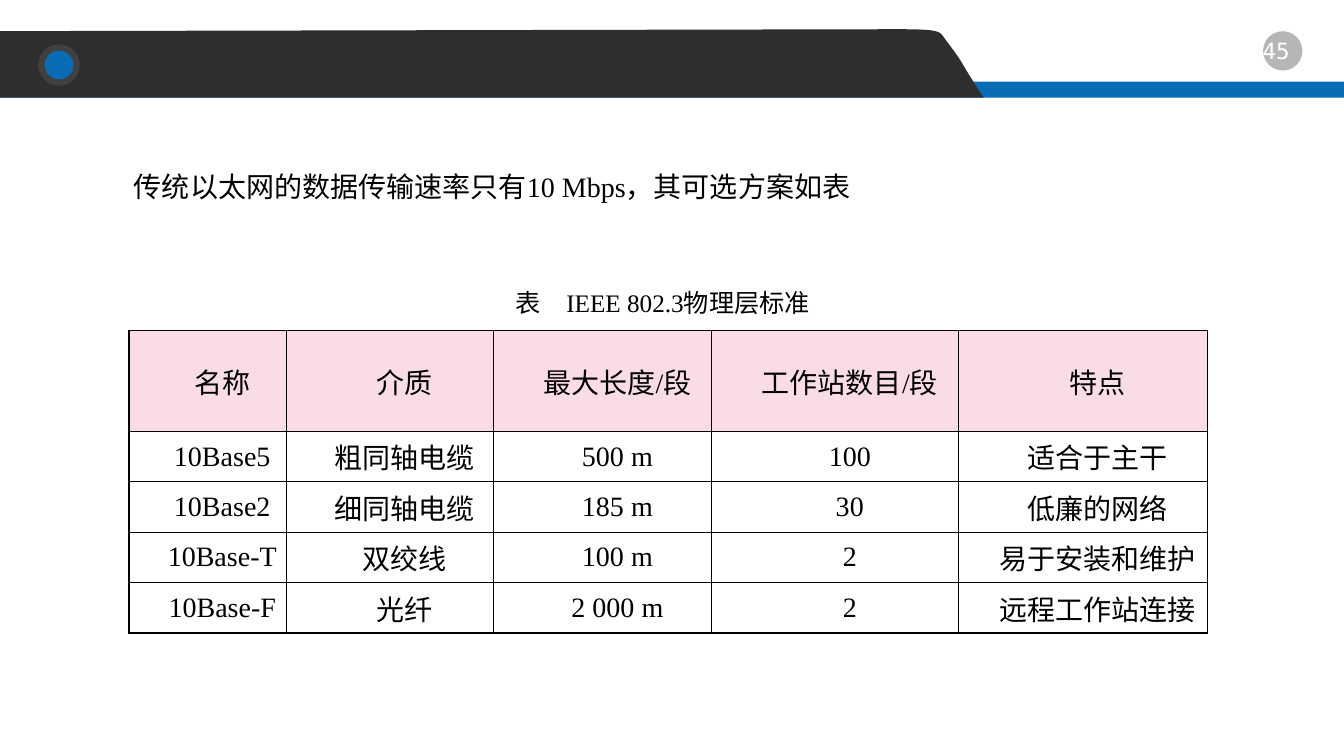
from lxml import etree
from pptx import Presentation
from pptx import util as u
from pptx.dml.color import RGBColor
from pptx.enum import shapes, text
from pptx.oxml import ns

BLUE = RGBColor(0x0A, 0x6C, 0xB5)
CHARCOAL = RGBColor(0x2E, 0x2E, 0x2E)
RING = RGBColor(0x40, 0x40, 0x40)
PINK = RGBColor(0xFA, 0xDC, 0xE9)
BLACK = RGBColor(0, 0, 0)
WHITE = RGBColor(0xFF, 0xFF, 0xFF)

SLIDE_WIDTH = u.Inches(13.33)
SLIDE_HEIGHT = u.Inches(7.5)
GRID = 100
CELL_INSET = 0.53
CELL_INDENT = 2.18
BODY_INDENT = 3.75

STANDARDS = [
    ["名称", "介质", "最大长度/段", "工作站数目/段", "特点"],
    ["10Base5", "粗同轴电缆", "500 m", "100", "适合于主干"],
    ["10Base2", "细同轴电缆", "185 m", "30", "低廉的网络"],
    ["10Base-T", "双绞线", "100 m", "2", "易于安装和维护"],
    ["10Base-F", "光纤", "2 000 m", "2", "远程工作站连接"],
]
COLUMN_SPANS = [11.7, 15.45, 16.2, 18.38, 18.53]
ROW_SPANS = [13.33] + [6.67] * 4


def columns(count):
    return u.Emu(round(SLIDE_WIDTH * count / GRID))


def rows(count):
    return u.Emu(round(SLIDE_HEIGHT * count / GRID))


def area(left, top, width, height):
    return columns(left), rows(top), columns(width), rows(height)


def add_element(parent, tag, **attributes):
    element = etree.SubElement(parent, ns.qn(tag))
    for name, value in attributes.items():
        element.set(name, str(value))
    return element


def bezier(start, first, second, end, steps=12):
    points = []
    for step in range(1, steps + 1):
        t = step / steps
        weights = ((1 - t) ** 3, 3 * t * (1 - t) ** 2, 3 * t ** 2 * (1 - t), t ** 3)
        controls = list(zip(weights, (start, first, second, end)))
        points.append(tuple(sum(w * point[axis] for w, point in controls) for axis in (0, 1)))
    return points


def write(frame, words, size=20, font="Times New Roman", color=BLACK,
          align=text.PP_ALIGN.CENTER, indent=0, spacing=None, tab=None):
    paragraph = frame.paragraphs[0]
    paragraph.alignment = align
    paragraph.line_spacing = spacing
    properties = paragraph._p.get_or_add_pPr()
    properties.set("marL", "0")
    properties.set("indent", str(columns(indent)))
    if tab:
        stops = add_element(properties, "a:tabLst")
        add_element(stops, "a:tab", pos=columns(tab), algn="l")
    run = paragraph.add_run()
    run.text = words
    run.font.size = u.Pt(size)
    run.font.name = font
    run.font.color.rgb = color


class SlideBuilder:
    def __init__(self, presentation):
        self.slide = presentation.slides.add_slide(presentation.slide_layouts[6])
        self.body_style = {"align": text.PP_ALIGN.JUSTIFY, "indent": BODY_INDENT, "spacing": 1.25}

    def paint(self, shape, fill, line=None, line_width=0, opacity=None):
        shape.shadow.inherit = False
        shape.fill.solid()
        shape.fill.fore_color.rgb = fill
        if opacity:
            color = shape.fill._xPr.find(ns.qn("a:solidFill"))[0]
            add_element(color, "a:alpha", val=opacity * 1000)
        if line is None:
            shape.line.fill.background()
        else:
            shape.line.color.rgb = line
            shape.line.width = u.Pt(line_width)

    def preset(self, kind, place, fill, **style):
        self.paint(self.slide.shapes.add_shape(kind, *area(*place)), fill, **style)

    def outline(self, points, fill):
        corners = [(columns(x), rows(y)) for x, y in points]
        builder = self.slide.shapes.build_freeform(*corners[0])
        builder.add_line_segments(corners[1:], close=True)
        self.paint(builder.convert_to_shape(), fill)

    def textbox(self, place, words, right_inset=0.75, **style):
        frame = self.slide.shapes.add_textbox(*area(*place)).text_frame
        frame.word_wrap = True
        frame.auto_size = text.MSO_AUTO_SIZE.SHAPE_TO_FIT_TEXT
        frame.margin_right = columns(right_inset)
        write(frame, words, **style)

    def body(self, place, words, **style):
        self.textbox(place, words, **self.body_style, **style)

    def border(self, cell):
        properties = cell._tc.get_or_add_tcPr()
        for side in ("a:lnL", "a:lnR", "a:lnT", "a:lnB"):
            line = add_element(properties, side, w=u.Pt(1))
            add_element(add_element(line, "a:solidFill"), "a:srgbClr", val=BLACK)

    def table(self, left, top, values, column_spans, row_spans):
        place = area(left, top, sum(column_spans), sum(row_spans))
        table = self.slide.shapes.add_table(len(values), len(column_spans), *place).table
        table.first_row = table.horz_banding = False
        for column, span in zip(table.columns, column_spans):
            column.width = columns(span)
        for index, (row, span) in enumerate(zip(table.rows, row_spans)):
            row.height = rows(span)
            for cell, words in zip(row.cells, values[index]):
                cell.vertical_anchor = text.MSO_ANCHOR.MIDDLE
                cell.margin_left = cell.margin_right = columns(CELL_INSET)
                cell.margin_top = cell.margin_bottom = 0
                self.border(cell)
                if index == 0:
                    cell.fill.solid()
                    cell.fill.fore_color.rgb = PINK
                else:
                    cell.fill.background()
                write(cell.text_frame, words, indent=CELL_INDENT)


def main():
    presentation = Presentation()
    presentation.slide_width = SLIDE_WIDTH
    presentation.slide_height = SLIDE_HEIGHT
    builder = SlideBuilder(presentation)
    oval = shapes.MSO_SHAPE.OVAL

    builder.preset(shapes.MSO_SHAPE.RECTANGLE, (0, 10.8, 100, 2.13), BLUE)
    shoulder = (70.28, 5.07)
    tip = (73.2, 12.93)
    banner = [shoulder]
    banner += bezier(shoulder, (69.9, 4.13), (69.98, 3.87), (66.75, 3.87))
    banner += [(0, 4.13), (0, 12.93), tip]
    banner += bezier(tip, (71.03, 7.07), (72.08, 9.33), shoulder)[:-1]
    builder.outline(banner, CHARCOAL)
    builder.preset(oval, (3.08, 6.27, 2.63, 4.67), BLUE, line=RING, line_width=4.5)
    builder.preset(oval, (93.98, 4.13, 2.93, 5.2), CHARCOAL, opacity=35)
    builder.textbox((92.78, 4.27, 5.33, 4.93), "45", right_inset=1.73,
                    size=16, font="DejaVu Sans Mono", color=WHITE)

    builder.body((5.48, 20.67, 76.2, 6.93), "传统以太网的数据传输速率只有10 Mbps，其可选方案如表")
    builder.body((33.9, 36.4, 31.58, 6.4), "表\tIEEE 802.3物理层标准", size=18, tab=6.95)
    builder.table(9.6, 43.73, STANDARDS, COLUMN_SPANS, ROW_SPANS)

    presentation.save("out.pptx")


if __name__ == "__main__":
    main()
